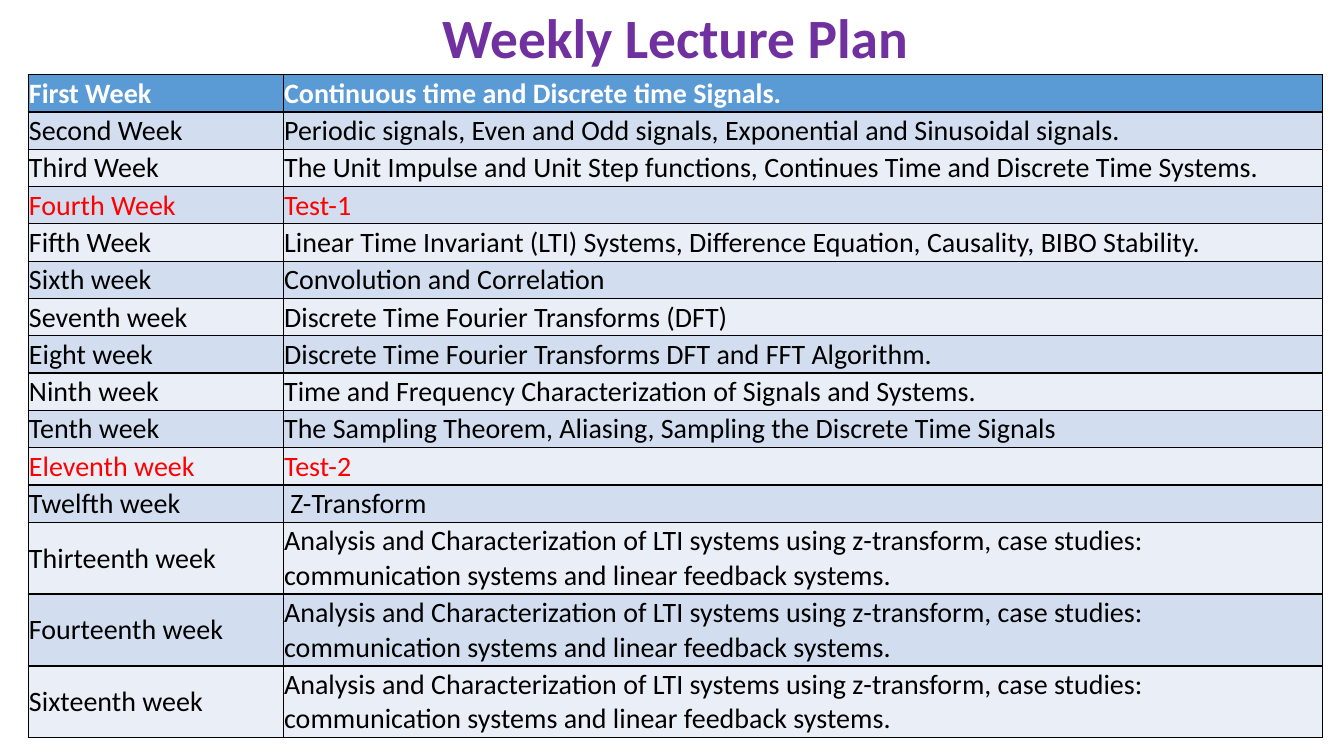
from lxml.etree import SubElement
from pptx import Presentation
from pptx.dml.color import RGBColor
from pptx.enum.text import MSO_ANCHOR, MSO_AUTO_SIZE, PP_ALIGN
from pptx.oxml.ns import qn
from pptx.util import Cm, Pt

FONT = "Calibri"
HEADER_FILL, BAND_FILLS = "5B9BD5", ("EAEFF7", "D2DEEF")
WHITE, BLACK, RED, PURPLE = "FFFFFF", "000000", "FF0000", "7030A0"
COLUMN_WIDTHS = (6.43, 26.18)
LINE_HEIGHT, TWO_LINE_HEIGHT = 0.94, 1.81
INSET, WRAP_INSET, INDENT = 0.02, 1, 0.18
CASE_STUDIES = (
    "Analysis and Characterization of LTI systems using z-transform, case studies: "
    "communication systems and linear feedback systems."
)
WEEKS = [
    ("First Week", "Continuous time and Discrete time Signals."),
    ("Second Week", "Periodic signals, Even and Odd signals, Exponential and Sinusoidal signals."),
    ("Third Week", "The Unit Impulse and Unit Step functions, Continues Time and Discrete Time Systems."),
    ("Fourth Week", "Test-1"),
    ("Fifth Week", "Linear Time Invariant (LTI) Systems, Difference Equation, Causality, BIBO Stability."),
    ("Sixth week", "Convolution and Correlation"),
    ("Seventh week", "Discrete Time Fourier Transforms (DFT)"),
    ("Eight week", "Discrete Time Fourier Transforms DFT and FFT Algorithm."),
    ("Ninth week", "Time and Frequency Characterization of Signals and Systems."),
    ("Tenth week", "The Sampling Theorem, Aliasing, Sampling the Discrete Time Signals"),
    ("Eleventh week", "Test-2"),
    ("Twelfth week", "Z-Transform"),
    ("Thirteenth week", CASE_STUDIES),
    ("Fourteenth week", CASE_STUDIES),
    ("Sixteenth week", CASE_STUDIES),
]


def color(code):
    """Turn a hex string into a colour."""
    return RGBColor.from_string(code)


def write(frame, text, size=20, ink=BLACK, bold=False, align=PP_ALIGN.LEFT, spacing=None):
    """Put one formatted paragraph into a text frame."""
    para = frame.paragraphs[0]
    para.alignment = align
    para.line_spacing = spacing
    span = para.add_run()
    span.text = text
    span.font.name, span.font.size, span.font.bold = FONT, Pt(size), bold
    span.font.color.rgb = color(ink)


def add_borders(cell, ink=BLACK, width=1):
    """Draw a solid line on all four sides of a cell."""
    properties = cell._tc.get_or_add_tcPr()
    for side in ("a:lnL", "a:lnR", "a:lnT", "a:lnB"):
        line = SubElement(properties, qn(side), w=str(Pt(width)))
        fill = SubElement(line, qn("a:solidFill"))
        SubElement(fill, qn("a:srgbClr"), val=ink)


def add_title(page, left, top, width, height):
    """Place the heading in the title placeholder."""
    title = page.shapes.title
    title.left, title.top, title.width, title.height = Cm(left), Cm(top), Cm(width), Cm(height)
    frame = title.text_frame
    frame.auto_size = MSO_AUTO_SIZE.NONE
    frame.vertical_anchor = MSO_ANCHOR.MIDDLE
    write(frame, "Weekly Lecture Plan", size=39.6, ink=PURPLE, bold=True,
          align=PP_ALIGN.CENTER, spacing=0.9)


def fill_cell(cell, text, background, ink, bold):
    """Format one table cell and write its text."""
    cell.margin_left = Cm(INDENT if text == "Z-Transform" else INSET)
    cell.margin_right = Cm(WRAP_INSET if text == CASE_STUDIES else INSET)
    cell.margin_top, cell.margin_bottom = Cm(INSET), Cm(0)
    cell.vertical_anchor = MSO_ANCHOR.MIDDLE
    add_borders(cell)
    cell.fill.solid()
    cell.fill.fore_color.rgb = color(background)
    write(cell.text_frame, text, ink=ink, bold=bold)


def add_plan(page, left, top):
    """Build the table of weeks and topics."""
    heights = [TWO_LINE_HEIGHT if topic == CASE_STUDIES else LINE_HEIGHT for _, topic in WEEKS]
    table = page.shapes.add_table(
        len(WEEKS), len(COLUMN_WIDTHS), Cm(left), Cm(top),
        Cm(sum(COLUMN_WIDTHS)), Cm(sum(heights))).table
    for column, width in zip(table.columns, COLUMN_WIDTHS):
        column.width = Cm(width)
    for index, (week, height) in enumerate(zip(WEEKS, heights)):
        table.rows[index].height = Cm(height)
        header = index == 0
        background = HEADER_FILL if header else BAND_FILLS[index % 2]
        ink = WHITE if header else RED if week[1].startswith("Test") else BLACK
        for position, text in enumerate(week):
            fill_cell(table.cell(index, position), text, background, ink, header)


def main():
    """Create the deck with its lecture plan page."""
    deck = Presentation()
    deck.slide_width, deck.slide_height = Cm(33.87), Cm(19.05)
    page = deck.slides.add_slide(deck.slide_layouts[5])
    add_title(page, 2.41, 0.36, 29.21, 1.3)
    add_plan(page, 0.71, 1.88)
    deck.save("out.pptx")


if __name__ == "__main__":
    main()
